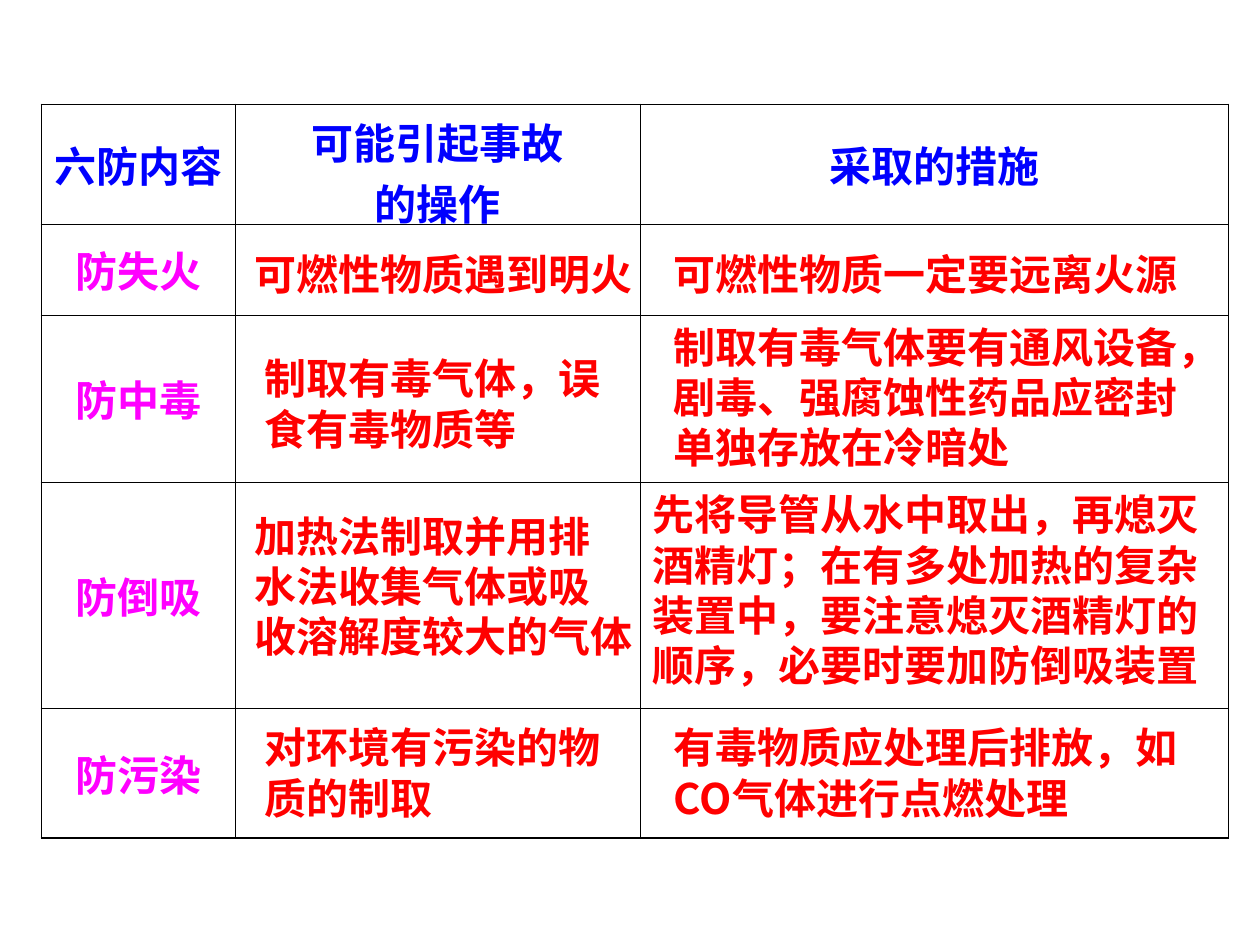
from dataclasses import dataclass

from lxml import etree
from pptx import Presentation
from pptx import util as u
from pptx.dml.color import RGBColor
from pptx.enum import text
from pptx.oxml.ns import qn

FONT = "Noto Sans CJK SC"
COLORS = {"heading": "0000FF", "hazard": "FF00FF", "detail": "FF0000", "border": "000000"}
OUTER, INNER = 1.08, 0.45
COLUMNS = [1.54, 3.21, 4.67]
ROWS = [0.95, 0.72, 1.33, 1.79, 1.03]
HEADINGS = ["六防内容", "可能引起事故\n的操作", "采取的措施"]
HAZARDS = ["防失火", "防中毒", "防倒吸", "防污染"]


@dataclass
class Detail:
    left: float
    top: float
    width: float
    lines: str


DETAILS = [
    Detail(1.92, 1.92, 3.92, "可燃性物质遇到明火"),
    Detail(5.25, 1.92, 4.92, "可燃性物质一定要远离火源"),
    Detail(2, 2.75, 3.33, "制取有毒气体，误\n食有毒物质等"),
    Detail(5.25, 2.5, 4.92, "制取有毒气体要有通风设备，\n剧毒、强腐蚀性药品应密封\n单独存放在冷暗处"),
    Detail(1.92, 4, 3.67, "加热法制取并用排\n水法收集气体或吸\n收溶解度较大的气体"),
    Detail(2, 5.68, 3.42, "对环境有污染的物\n质的制取"),
    Detail(5.25, 5.68, 4.83, "有毒物质应处理后排放，如\nCO气体进行点燃处理"),
    Detail(5.08, 3.83, 5.08, "先将导管从水中取出，再熄灭\n酒精灯；在有多处加热的复杂\n"
                             "装置中，要注意熄灭酒精灯的\n顺序，必要时要加防倒吸装置"),
]


def write(frame, content: str, *, color: str, align=text.PP_ALIGN.LEFT, spacing=None) -> None:
    """Fill a text frame, one paragraph per line."""
    frame.text = content
    for paragraph in frame.paragraphs:
        paragraph.alignment = align
        paragraph.line_spacing = spacing
        for run in paragraph.runs:
            run.font.size, run.font.bold, run.font.name = u.Pt(24), True, FONT
            run.font.color.rgb = RGBColor.from_string(COLORS[color])
            etree.SubElement(run.font._element, qn("a:ea")).set("typeface", FONT)


def draw_borders(cell, widths: dict[str, float]) -> None:
    properties = cell._tc.get_or_add_tcPr()
    for position, (side, width) in enumerate(widths.items()):
        line = etree.Element(qn(f"a:ln{side}"), w=str(int(u.Pt(width))))
        fill = etree.SubElement(line, qn("a:solidFill"))
        etree.SubElement(fill, qn("a:srgbClr")).set("val", COLORS["border"])
        properties.insert(position, line)


def draw_table(slide) -> None:
    table = slide.shapes.add_table(
        len(ROWS), len(COLUMNS), u.Inches(0.33), u.Inches(0.83),
        u.Inches(sum(COLUMNS)), u.Inches(sum(ROWS))).table
    table.first_row = table.horz_banding = False
    for column, width in zip(table.columns, COLUMNS):
        column.width = u.Inches(width)
    for row, height in zip(table.rows, ROWS):
        row.height = u.Inches(height)

    last_row, last_column = len(ROWS) - 1, len(COLUMNS) - 1
    for r in range(len(ROWS)):
        for c in range(len(COLUMNS)):
            cell = table.cell(r, c)
            cell.fill.background()
            cell.vertical_anchor = text.MSO_ANCHOR.MIDDLE
            edges = {"L": c == 0, "R": c == last_column, "T": r == 0, "B": r == last_row}
            draw_borders(cell, {side: OUTER if outer else INNER for side, outer in edges.items()})

    for c, heading in enumerate(HEADINGS):
        write(table.cell(0, c).text_frame, heading, color="heading", align=text.PP_ALIGN.CENTER)
    for r, hazard in enumerate(HAZARDS, start=1):
        write(table.cell(r, 0).text_frame, hazard, color="hazard", align=text.PP_ALIGN.CENTER)
    # Let the two-line heading reach the lower rule without stretching its row
    table.cell(0, 1).margin_bottom = u.Inches(-0.07)


def draw_detail(slide, detail: Detail) -> None:
    height = 0.1 + 0.4 * len(detail.lines.split("\n"))
    box = slide.shapes.add_textbox(u.Inches(detail.left), u.Inches(detail.top),
                                   u.Inches(detail.width), u.Inches(height))
    box.text_frame.word_wrap = True
    write(box.text_frame, detail.lines, color="detail", spacing=u.Pt(28.8))


def main() -> None:
    deck = Presentation()
    deck.slide_width, deck.slide_height = u.Inches(10), u.Inches(7.5)
    slide = deck.slides.add_slide(deck.slide_layouts[6])
    # Grid with headings and hazards
    draw_table(slide)
    # Causes and measures over the empty cells
    for detail in DETAILS:
        draw_detail(slide, detail)
    deck.save("out.pptx")


if __name__ == "__main__":
    main()
